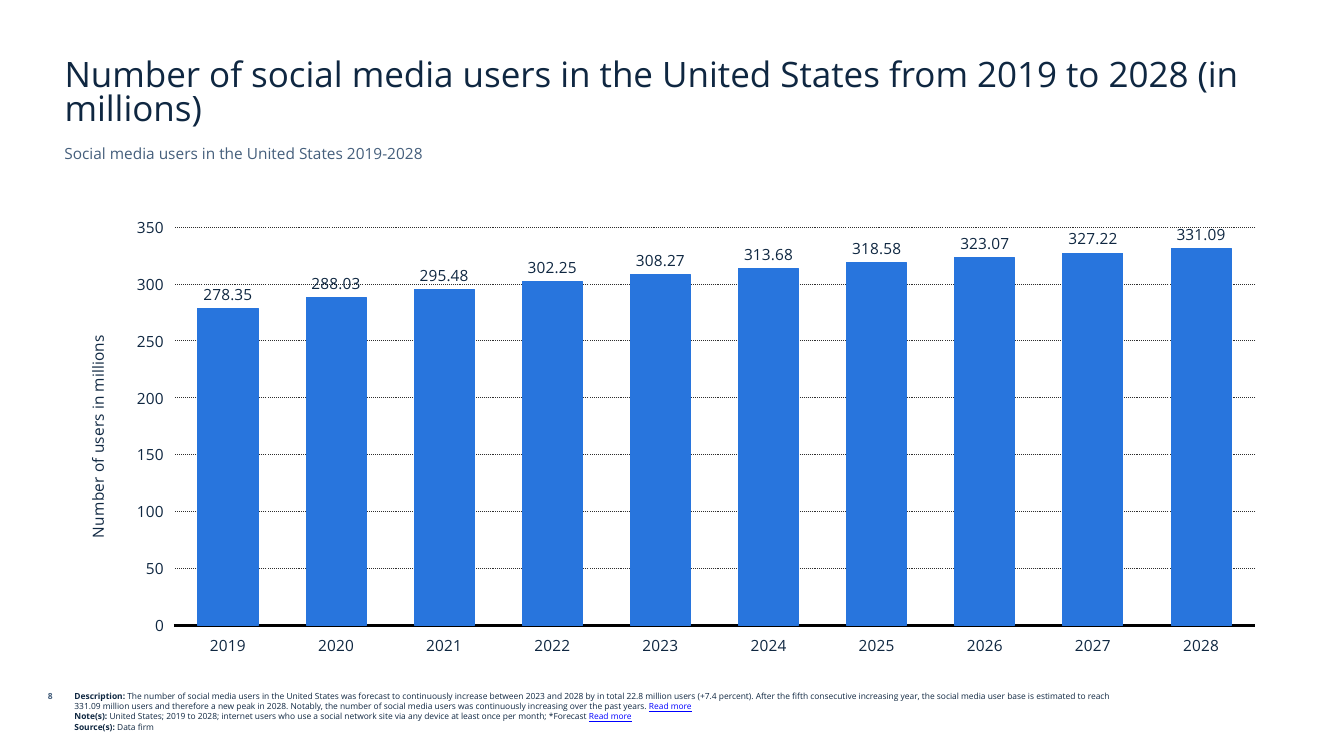
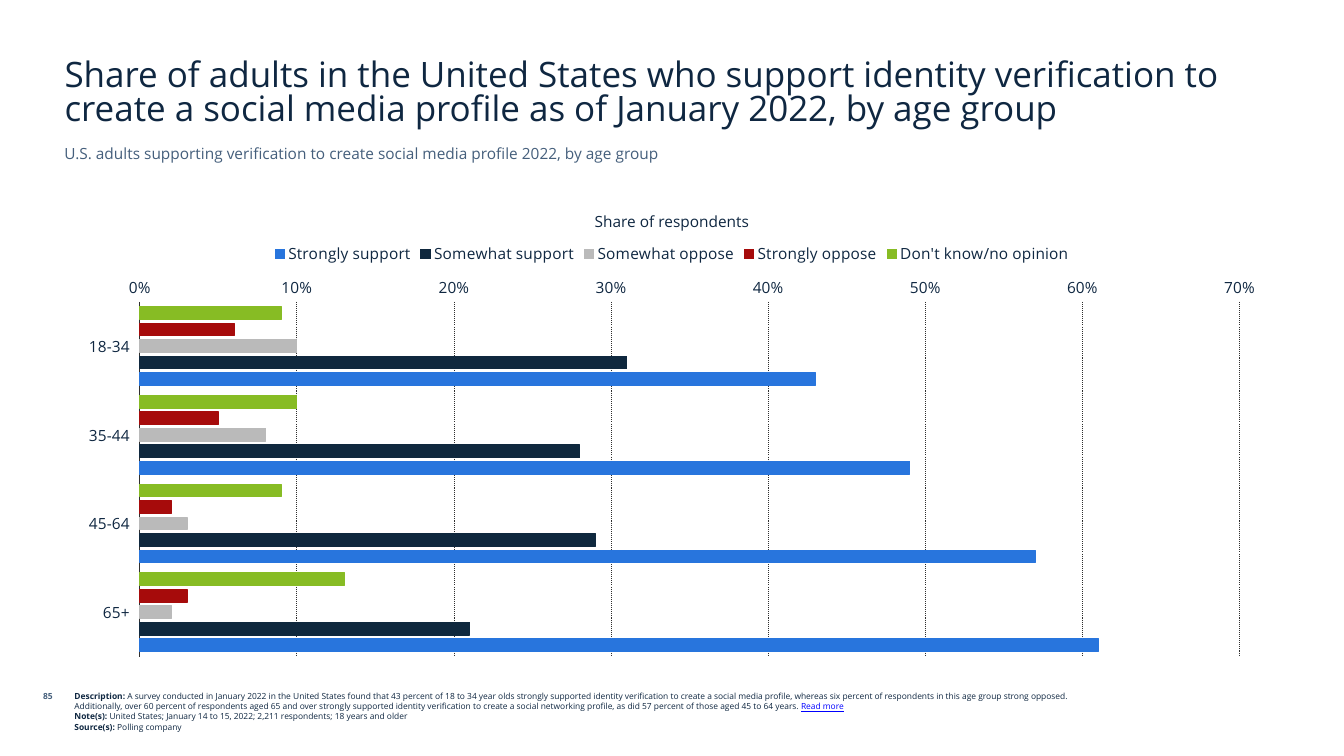
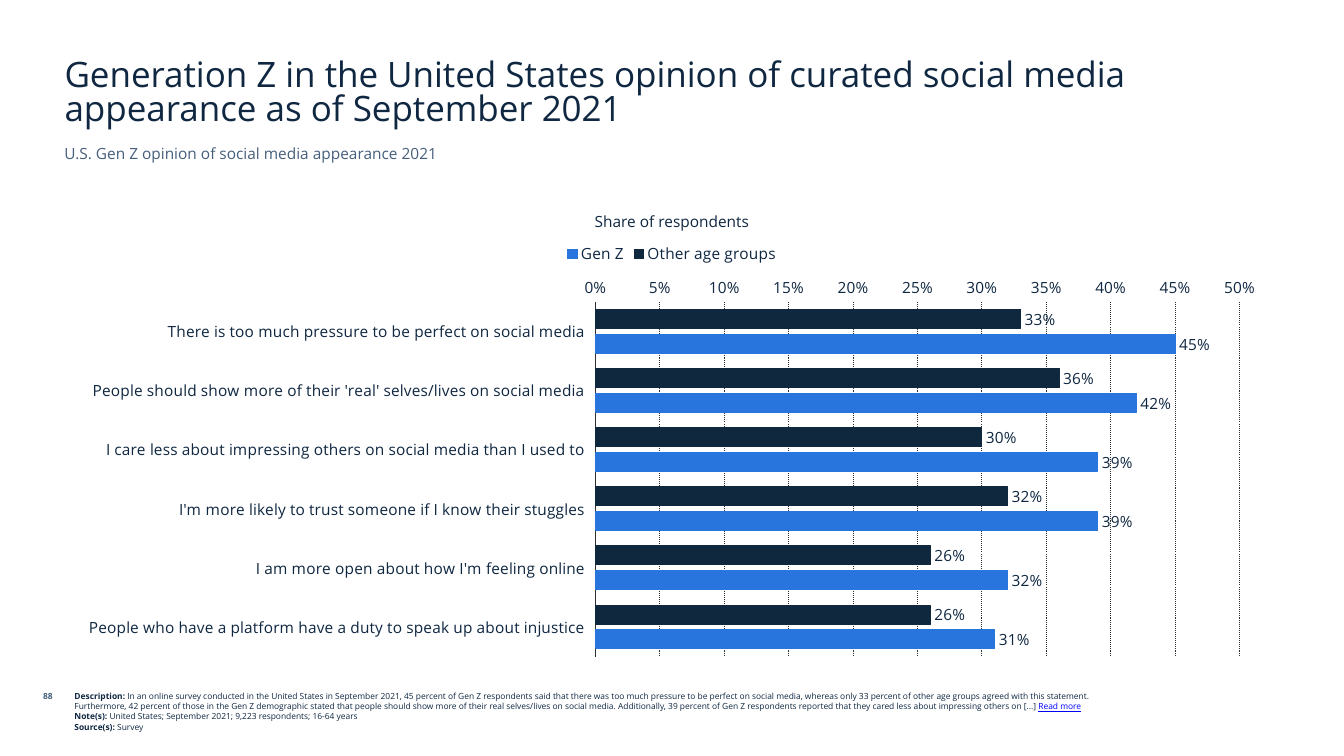
from pptx import Presentation
from pptx.chart.data import CategoryChartData
from pptx.dml.color import RGBColor
from pptx.enum.chart import XL_CHART_TYPE, XL_LABEL_POSITION, XL_LEGEND_POSITION, XL_TICK_LABEL_POSITION, XL_TICK_MARK
from pptx.enum.dml import MSO_LINE
from pptx.enum.text import MSO_ANCHOR, MSO_AUTO_SIZE, PP_ALIGN
from pptx.util import Inches, Pt

NAVY, SLATE, LINK, GRID, BLACK = "0F2741", "455F7C", "0000FF", "2F2F2F", "000000"
BLUE, DARK, GRAY, RED, GREEN = "2875DD", "0F283E", "BABABA", "A60B0B", "87BC24"
READ_MORE = "Read more"


def color(value):
    """Turn a hex string into a colour."""
    return RGBColor.from_string(value)


def apply(target, **values):
    """Set each named attribute on the target."""
    for name, value in values.items():
        setattr(target, name, value)


class Deck:
    """Hold the shared style and the current slide."""

    font_name = "Open Sans"
    small, body, heading = 6, 11, 25

    def __init__(self):
        """Start an empty widescreen presentation."""
        self.presentation = Presentation()
        apply(self.presentation, slide_width=Inches(13.33), slide_height=Inches(7.5))
        self.slide = None

    def style(self, font, size, tint=NAVY, bold=False):
        """Format a font in the deck's typeface."""
        apply(font, name=self.font_name, size=Pt(size), bold=bold)
        font.color.rgb = color(tint)

    def line(self, line, tint, width):
        """Format a line with a colour and a width."""
        line.color.rgb = color(tint)
        line.width = Pt(width)

    def start(self, title, subtitle, number, notes):
        """Add a slide with its heading and footer."""
        self.slide = self.presentation.slides.add_slide(self.presentation.slide_layouts[5])
        self.title(title)
        self.text(subtitle, (0.54, 1.38, 12.24, 0.34), self.body, SLATE)
        self.text(number, (0, 6.81, 0.62, 0.3), self.small, SLATE, PP_ALIGN.RIGHT, True)
        self.footnotes(notes)

    def title(self, text):
        """Place and format the title placeholder."""
        shape = self.slide.shapes.title
        apply(shape, left=Inches(0.54), top=Inches(0.46), width=Inches(12.24), height=Inches(0.86))
        frame = shape.text_frame
        frame.text = text
        apply(frame, auto_size=MSO_AUTO_SIZE.NONE, word_wrap=True, vertical_anchor=MSO_ANCHOR.BOTTOM)
        paragraph = frame.paragraphs[0]
        apply(paragraph, alignment=PP_ALIGN.LEFT, line_spacing=0.8)
        self.style(paragraph.font, self.heading)

    def box(self, bounds):
        """Add a wrapping text box and return its frame."""
        frame = self.slide.shapes.add_textbox(*map(Inches, bounds)).text_frame
        frame.word_wrap = True
        return frame

    def text(self, text, bounds, size, tint=NAVY, alignment=PP_ALIGN.LEFT, bold=False):
        """Add one paragraph of text."""
        paragraph = self.box(bounds).paragraphs[0]
        apply(paragraph, text=text, alignment=alignment)
        self.style(paragraph.font, size, tint, bold)

    def footnotes(self, notes):
        """Add labelled notes, each with an optional closing link word."""
        frame = self.box((0.64, 6.81, 10.47, 0.58))
        labels = ("Description: ", "Note(s): ", "Source(s): ")
        for index, (label, note) in enumerate(zip(labels, notes)):
            paragraph = frame.add_paragraph() if index else frame.paragraphs[0]
            linked = note.endswith(READ_MORE)
            pieces = [(label, NAVY, True), (note.removesuffix(READ_MORE), NAVY, False)]
            if linked:
                pieces.append((READ_MORE, LINK, False))
            for text, tint, bold in pieces:
                run = paragraph.add_run()
                run.text = text
                self.style(run.font, self.small, tint, bold)
                run.font.underline = tint == LINK

    def chart(self, kind, bounds, categories, series, axis_line, scale, label_format=None):
        """Add a clustered chart in the deck's style and return it."""
        data = CategoryChartData()
        data.categories = categories
        for name, _, values in series:
            data.add_series(name, values)
        chart = self.slide.shapes.add_chart(kind, *map(Inches, bounds), data).chart
        apply(chart, has_title=False, has_legend=False)
        self.style(chart.font, self.body)
        plot = chart.plots[0]
        apply(plot, gap_width=80, overlap=-30, vary_by_categories=False)
        for item, (_, tint, _) in zip(plot.series, series):
            item.format.fill.solid()
            item.format.fill.fore_color.rgb = color(tint)
            self.line(item.format.line, tint, 0.75)
            item.invert_if_negative = False
        if label_format:
            plot.has_data_labels = True
            apply(plot.data_labels, show_value=True, number_format=label_format,
                  number_format_is_linked=False, position=XL_LABEL_POSITION.OUTSIDE_END)
            self.style(plot.data_labels.font, self.body)
        for axis in (chart.category_axis, chart.value_axis):
            apply(axis, major_tick_mark=XL_TICK_MARK.NONE, minor_tick_mark=XL_TICK_MARK.NONE)
            self.style(axis.tick_labels.font, self.body)
        chart.category_axis.tick_label_position = XL_TICK_LABEL_POSITION.LOW
        self.line(chart.category_axis.format.line, *axis_line)
        maximum, step = scale
        value_axis = chart.value_axis
        apply(value_axis, minimum_scale=0, maximum_scale=maximum, major_unit=step, has_major_gridlines=True)
        value_axis.format.line.fill.background()
        grid = value_axis.major_gridlines.format.line
        self.line(grid, GRID, 0.75)
        grid.dash_style = MSO_LINE.ROUND_DOT
        return chart

    def columns(self, categories, series, scale, axis_title):
        """Add a column chart with a titled value axis."""
        chart = self.chart(XL_CHART_TYPE.COLUMN_CLUSTERED, (0.64, 2.06, 12.05, 4.54),
                           categories, series, (BLACK, 2), scale, "0.00")
        axis = chart.value_axis
        axis.tick_label_position = XL_TICK_LABEL_POSITION.LOW
        apply(axis.tick_labels, number_format="#,##0", number_format_is_linked=False)
        frame = axis.axis_title.text_frame
        frame.text = axis_title
        self.style(frame.paragraphs[0].runs[0].font, self.body)

    def bars(self, categories, series, scale, label_format=None):
        """Add a bar chart of shares with its heading and legend on top."""
        chart = self.chart(XL_CHART_TYPE.BAR_CLUSTERED, (0.64, 2.3, 12.05, 4.3),
                           categories, series, (GRID, 0.75), scale, label_format)
        chart.category_axis.reverse_order = True
        apply(chart.value_axis.tick_labels, number_format="#,##0%", number_format_is_linked=False)
        chart.has_legend = True
        apply(chart.legend, position=XL_LEGEND_POSITION.TOP, include_in_layout=False)
        self.style(chart.legend.font, self.body)
        self.text("Share of respondents", (5.5, 2.06, 2.33, 0.24), self.body, alignment=PP_ALIGN.CENTER)


def main():
    """Build the three chart slides."""
    deck = Deck()

    deck.start(
        "Number of social media users in the United States from 2019 to 2028 (in millions)",
        "Social media users in the United States 2019-2028",
        "8",
        ("The number of social media users in the United States was forecast to continuously increase between "
         "2023 and 2028 by in total 22.8 million users (+7.4 percent). After the fifth consecutive increasing "
         "year, the social media user base is estimated to reach 331.09 million users and therefore a new peak "
         "in 2028. Notably, the number of social media users was continuously increasing over the past years. "
         "Read more",
         "United States; 2019 to 2028; internet users who use a social network site via any device at least "
         "once per month; *Forecast Read more",
         "Data firm"))
    users = (278.35, 288.03, 295.48, 302.25, 308.27, 313.68, 318.58, 323.07, 327.22, 331.09)
    deck.columns([str(year) for year in range(2019, 2029)], [("Series 1", BLUE, users)],
                 (350, 50), "Number of users in millions")

    deck.start(
        "Share of adults in the United States who support identity verification to create a social media "
        "profile as of January 2022, by age group",
        "U.S. adults supporting verification to create social media profile 2022, by age group",
        "85",
        ("A survey conducted in January 2022 in the United States found that 43 percent of 18 to 34 year olds "
         "strongly supported identity verification to create a social media profile, whereas six percent of "
         "respondents in this age group strong opposed. Additionally, over 60 percent of respondents aged 65 "
         "and over strongly supported identity verification to create a social networking profile, as did 57 "
         "percent of those aged 45 to 64 years. Read more",
         "United States; January 14 to 15, 2022; 2,211 respondents; 18 years and older",
         "Polling company"))
    deck.bars(
        ["18-34", "35-44", "45-64", "65+"],
        [("Don't know/no opinion", GREEN, (0.09, 0.1, 0.09, 0.13)),
         ("Strongly oppose", RED, (0.06, 0.05, 0.02, 0.03)),
         ("Somewhat oppose", GRAY, (0.1, 0.08, 0.03, 0.02)),
         ("Somewhat support", DARK, (0.31, 0.28, 0.29, 0.21)),
         ("Strongly support", BLUE, (0.43, 0.49, 0.57, 0.61))],
        (0.7, 0.1))

    deck.start(
        "Generation Z in the United States opinion of curated social media appearance as of September 2021",
        "U.S. Gen Z opinion of social media appearance 2021",
        "88",
        ("In an online survey conducted in the United States in September 2021, 45 percent of Gen Z respondents "
         "said that there was too much pressure to be perfect on social media, whereas only 33 percent of other "
         "age groups agreed with this statement. Furthermore, 42 percent of those in the Gen Z demographic "
         "stated that people should show more of their real selves/lives on social media. Additionally, 39 "
         "percent of Gen Z respondents reported that they cared less about impressing others on [...] Read more",
         "United States; September 2021; 9,223 respondents; 16-64 years",
         "Survey"))
    deck.bars(
        ["There is too much pressure to be perfect on social media",
         "People should show more of their 'real' selves/lives on social media",
         "I care less about impressing others on social media than I used to",
         "I'm more likely to trust someone if I know their stuggles",
         "I am more open about how I'm feeling online",
         "People who have a platform have a duty to speak up about injustice"],
        [("Other age groups", DARK, (0.33, 0.36, 0.3, 0.32, 0.26, 0.26)),
         ("Gen Z", BLUE, (0.45, 0.42, 0.39, 0.39, 0.32, 0.31))],
        (0.5, 0.05), "0%")

    deck.presentation.save("out.pptx")


if __name__ == "__main__":
    main()
